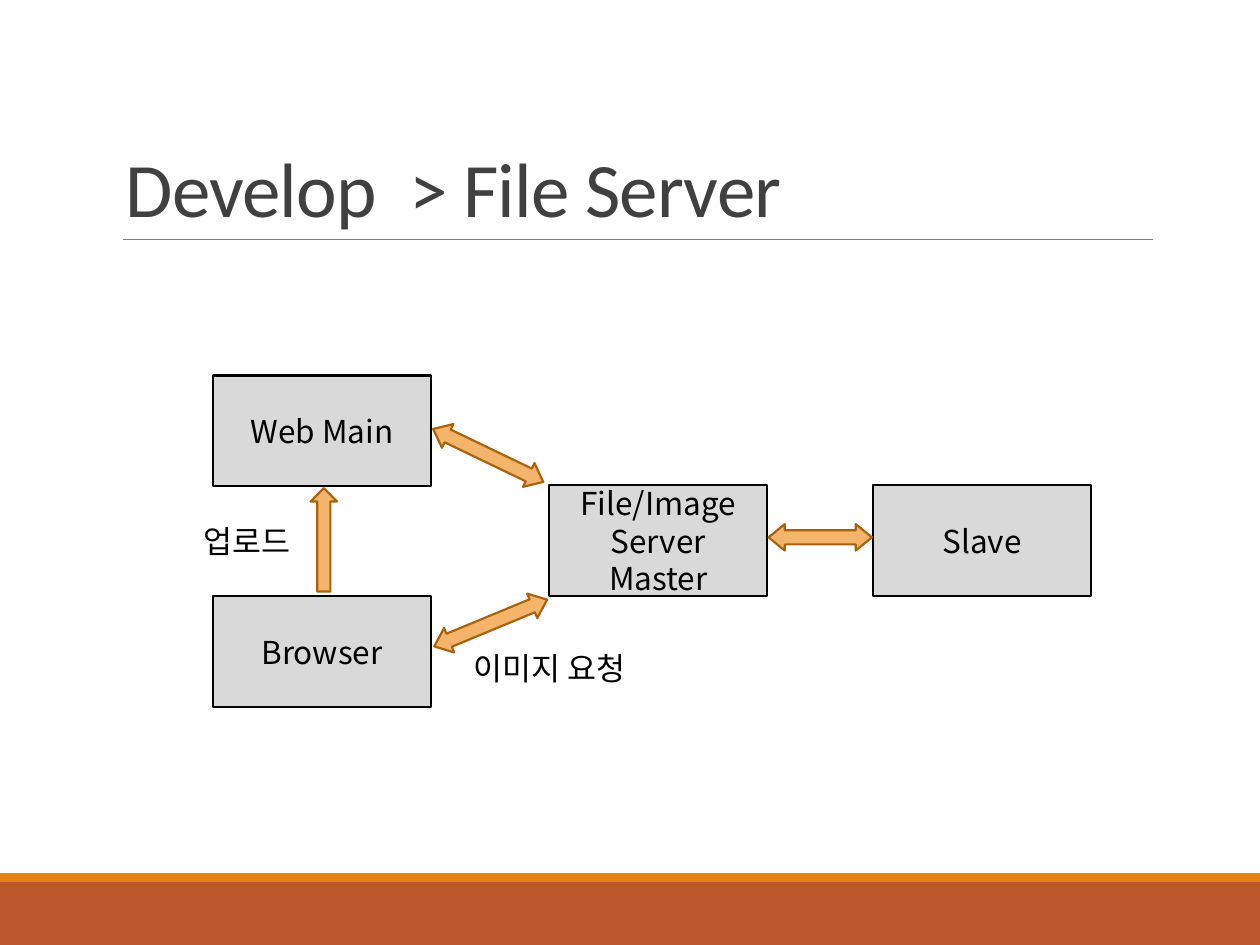
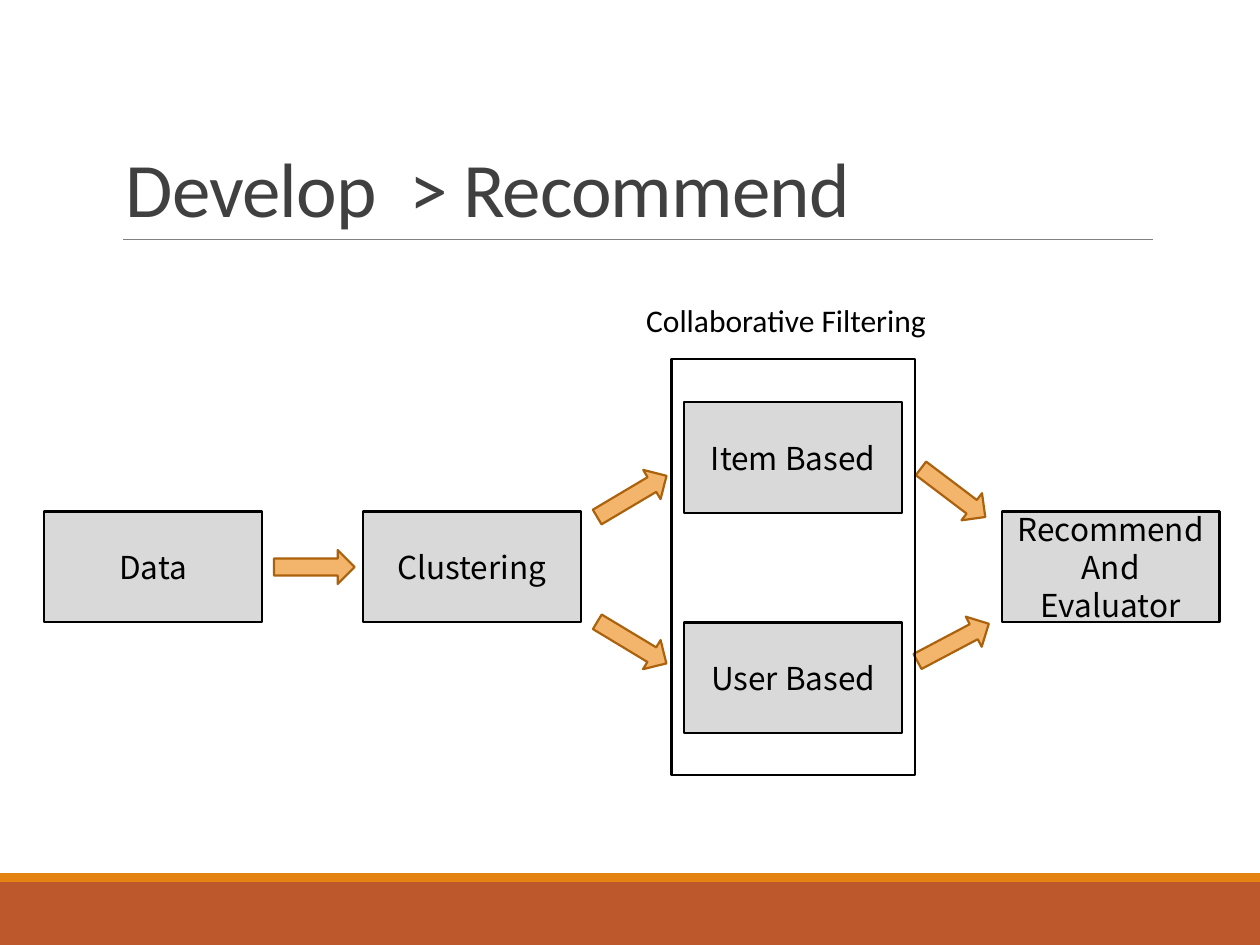
"""Build two slides that map a file server and a recommend flow."""
from dataclasses import dataclass
from typing import Any, Optional

import lxml.etree
import pptx
import pptx.dml.color
import pptx.enum.shapes
import pptx.enum.text
import pptx.oxml.ns
import pptx.util

Inches = pptx.util.Inches
Pt = pptx.util.Pt
Kind = pptx.enum.shapes.MSO_SHAPE
Align = pptx.enum.text.PP_ALIGN
Anchor = pptx.enum.text.MSO_ANCHOR
qn = pptx.oxml.ns.qn


@dataclass(frozen=True)
class Theme:
    rust: str = "BD582C"
    gold: str = "E48312"
    rule: str = "808080"
    head: str = "404040"
    ink: str = "000000"
    gray: str = "D9D9D9"
    peach: str = "F3B56C"
    brown: str = "AB620D"
    latin: str = "Calibri"
    noto: str = "Noto Sans CJK KR"
    title: float = 44
    body: float = 18
    edge: float = 1.25
    thin: float = 0.5


@dataclass(frozen=True)
class Box:
    text: str
    left: float
    top: float
    width: float = 1.73
    height: float = 0.88
    fill: Optional[str] = Theme.gray


@dataclass(frozen=True)
class Arrow:
    kind: Any
    left: float
    top: float
    width: float
    height: float
    turn: float = 0
    bends: tuple[float, ...] = ()


@dataclass(frozen=True)
class Label:
    text: str
    left: float
    top: float
    width: float
    font: str = Theme.noto


THEME = Theme()


def color(code: str) -> Any:
    return pptx.dml.color.RGBColor.from_string(code)


def write(shape: Any, text: str, *, font: str = THEME.noto,
          size: float = THEME.body, ink: str = THEME.ink,
          align: Any = Align.LEFT, anchor: Any = Anchor.TOP,
          wrap: bool = True, lead: Optional[float] = None,
          track: Optional[int] = None) -> None:
    frame = shape.text_frame
    frame.word_wrap = wrap
    frame.vertical_anchor = anchor
    for index, words in enumerate(text.split("\n")):
        para = frame.add_paragraph() if index else frame.paragraphs[0]
        para.alignment = align
        if lead:
            para.line_spacing = lead
        run = para.add_run()
        run.text = words
        run.font.name = font
        run.font.size = Pt(size)
        run.font.color.rgb = color(ink)
        props = run._r.get_or_add_rPr()
        lxml.etree.SubElement(props, qn("a:ea"), typeface=font)
        if track:
            props.set("spc", str(track))


def place(slide: Any, kind: Any, left: float, top: float, width: float,
          height: float, fill: Optional[str], line: Optional[str] = None) -> Any:
    shape = slide.shapes.add_shape(
        kind, Inches(left), Inches(top), Inches(width), Inches(height))
    shape.shadow.inherit = False
    if fill:
        shape.fill.solid()
        shape.fill.fore_color.rgb = color(fill)
    else:
        shape.fill.background()
    if line:
        shape.line.color.rgb = color(line)
        shape.line.width = Pt(THEME.edge)
    else:
        shape.line.fill.background()
    return shape


def draw(slide: Any, part: Any) -> None:
    if isinstance(part, Box):
        shape = place(slide, Kind.RECTANGLE, part.left, part.top, part.width,
                      part.height, part.fill, THEME.ink)
        if part.text:
            write(shape, part.text, align=Align.CENTER, anchor=Anchor.MIDDLE)
    elif isinstance(part, Arrow):
        shape = place(slide, part.kind, part.left, part.top, part.width,
                      part.height, THEME.peach, THEME.brown)
        shape.rotation = part.turn
        for index, bend in enumerate(part.bends):
            shape.adjustments[index] = bend
    else:
        shape = slide.shapes.add_textbox(Inches(part.left), Inches(part.top),
                                         Inches(part.width), Inches(0.4))
        write(shape, part.text, font=part.font, wrap=False)


def start(deck: Any, title: str) -> Any:
    slide = deck.slides.add_slide(deck.slide_layouts[6])
    place(slide, Kind.RECTANGLE, 0, 7, 10, 0.5, THEME.rust)
    place(slide, Kind.RECTANGLE, 0, 6.93, 10, 0.07, THEME.gold)
    rule = slide.shapes.add_connector(
        pptx.enum.shapes.MSO_CONNECTOR.STRAIGHT,
        Inches(0.98), Inches(1.9), Inches(9.15), Inches(1.9))
    rule.line.color.rgb = color(THEME.rule)
    rule.line.width = Pt(THEME.thin)
    lxml.etree.SubElement(rule._element.spPr, qn("a:effectLst"))
    head = slide.shapes.add_textbox(
        Inches(0.9), Inches(0.31), Inches(8.25), Inches(1.59))
    write(head, title, font=THEME.latin, size=THEME.title, ink=THEME.head,
          anchor=Anchor.BOTTOM, lead=0.85, track=-50)
    return slide


def link(left: float, top: float, width: float, turn: float = 0) -> Arrow:
    return Arrow(Kind.LEFT_RIGHT_ARROW, left, top, width, 0.21, turn,
                 (0.533, 0.61))


def step(left: float, top: float, turn: float) -> Arrow:
    return Arrow(Kind.DOWN_ARROW, left, top, 0.27, 0.64, turn)


SLIDES = {
    "Develop  > File Server": [
        Box("File/Image\nServer\nMaster", 4.36, 3.85),
        Box("Slave", 6.93, 3.85),
        link(6.1, 4.16, 0.82),
        Box("Web Main", 1.69, 2.98),
        Box("Browser", 1.69, 4.73),
        Arrow(Kind.RIGHT_ARROW, 2.16, 4.18, 0.82, 0.21, 270),
        Label("업로드", 1.52, 4.09, 0.91),
        Label("이미지 요청", 3.66, 5.1, 1.46),
        link(3.41, 4.84, 0.97, 337.5),
        link(3.39, 3.51, 0.97, 25.7),
    ],
    "Develop  > Recommend": [
        Box("Item Based", 5.43, 3.19),
        Box("User Based", 5.43, 4.94),
        Box("Clustering", 2.88, 4.06),
        step(4.88, 3.62, 239.3),
        step(4.88, 4.78, 301.1),
        Box("Recommend\nAnd\nEvaluator", 7.95, 4.06),
        step(7.43, 3.59, 307.1),
        step(7.43, 4.78, 242.1),
        Box("Data", 0.35, 4.06),
        step(2.36, 4.18, 270),
        Box("", 5.33, 2.85, 1.93, 3.3, None),
        Label("Collaborative Filtering", 5.03, 2.34, 2.45, THEME.latin),
    ],
}


def main() -> None:
    deck = pptx.Presentation()
    deck.slide_width = Inches(10)
    deck.slide_height = Inches(7.5)
    for title, parts in SLIDES.items():
        slide = start(deck, title)
        for part in parts:
            draw(slide, part)
    deck.save("out.pptx")


if __name__ == "__main__":
    main()
